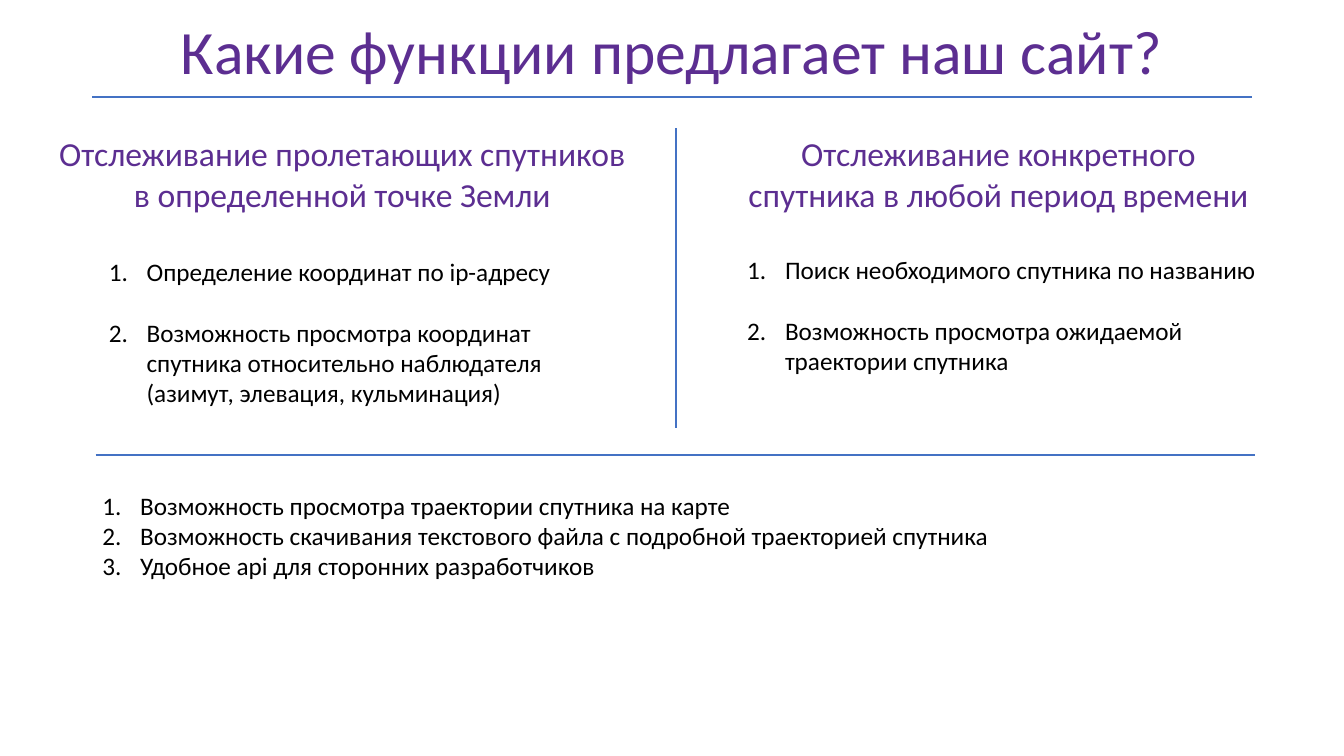
from dataclasses import dataclass

from lxml.etree import SubElement
from pptx import Presentation
from pptx.dml.color import RGBColor
from pptx.enum.shapes import MSO_CONNECTOR
from pptx.enum.text import MSO_ANCHOR, MSO_AUTO_SIZE, PP_ALIGN
from pptx.oxml.ns import qn
from pptx.shapes.base import BaseShape
from pptx.slide import Slide
from pptx.util import Emu, Pt

PURPLE = RGBColor(0x5C, 0x2E, 0x91)
BLUE = RGBColor(0x44, 0x72, 0xC4)
BLACK = RGBColor(0x00, 0x00, 0x00)
FONT = "Calibri"
COMPARISON_LAYOUT = 4
NUMBER_INDENT = 36


@dataclass(frozen=True)
class Box:
    left: int
    top: int
    width: int
    height: int


@dataclass(frozen=True)
class Feature:
    heading: str
    heading_box: Box
    steps: list[str]
    steps_box: Box


@dataclass(frozen=True)
class Divider:
    x1: int
    y1: int
    x2: int
    y2: int


TITLE = "Какие функции предлагает наш сайт?"
TITLE_BOX = Box(88, -18, 1104, 139)

FEATURES = [
    Feature(
        "Отслеживание пролетающих спутников в определенной точке Земли",
        Box(44, 122, 564, 87),
        [
            "Определение координат по ip-адресу",
            "Возможность просмотра координат спутника относительно "
            "наблюдателя (азимут, элевация, кульминация)",
        ],
        Box(94, 239, 485, 156),
    ),
    Feature(
        "Отслеживание конкретного спутника в любой период времени",
        Box(702, 122, 498, 87),
        [
            "Поиск необходимого спутника по названию",
            "Возможность просмотра ожидаемой траектории спутника",
        ],
        Box(702, 237, 511, 126),
    ),
]

COMMON_STEPS = [
    "Возможность просмотра траектории спутника на карте",
    "Возможность скачивания текстового файла с подробной траекторией спутника",
    "Удобное api для сторонних разработчиков",
]
COMMON_BOX = Box(88, 462, 1104, 126)

DIVIDERS = [
    Divider(88, 92, 1192, 92),
    Divider(644, 122, 644, 408),
    Divider(91, 433, 1195, 433),
]


def px(length: int) -> Emu:
    return Emu(length * 9525)


def place(shape: BaseShape, box: Box) -> None:
    shape.left, shape.top = px(box.left), px(box.top)
    shape.width, shape.height = px(box.width), px(box.height)


def write(shape: BaseShape, lines: list[str], size: int, color: RGBColor,
          align: PP_ALIGN, anchor: MSO_ANCHOR = MSO_ANCHOR.TOP,
          line_spacing: float = 1.0, gap: int = 0) -> None:
    """Fill a shape with paragraphs, leaving gap points between them."""
    frame = shape.text_frame
    frame.text = "\n".join(lines)
    frame.word_wrap = True
    frame.auto_size = MSO_AUTO_SIZE.NONE
    frame.vertical_anchor = anchor
    for index, paragraph in enumerate(frame.paragraphs):
        paragraph.alignment = align
        paragraph.line_spacing = line_spacing
        paragraph.space_before = Pt(gap if index else 0)
        paragraph.space_after = Pt(0)
        for run in paragraph.runs:
            run.font.name = FONT
            run.font.size = Pt(size)
            run.font.bold = False
            run.font.color.rgb = color


def write_numbered(shape: BaseShape, steps: list[str], gap: int = 0) -> None:
    write(shape, steps, 18, BLACK, PP_ALIGN.LEFT, gap=gap)
    for paragraph in shape.text_frame.paragraphs:
        properties = paragraph._p.get_or_add_pPr()
        properties.set("marL", str(px(NUMBER_INDENT)))
        properties.set("indent", str(px(-NUMBER_INDENT)))
        SubElement(properties, qn("a:buFont"), typeface="+mj-lt")
        SubElement(properties, qn("a:buAutoNum"), type="arabicPeriod")


def draw_divider(slide: Slide, divider: Divider) -> None:
    line = slide.shapes.add_connector(
        MSO_CONNECTOR.STRAIGHT, px(divider.x1), px(divider.y1),
        px(divider.x2), px(divider.y2))
    line.line.color.rgb = BLUE
    line.line.width = Pt(1.5)
    SubElement(line._element.spPr, qn("a:effectLst"))


def draw_feature(heading: BaseShape, steps: BaseShape, feature: Feature) -> None:
    place(heading, feature.heading_box)
    write(heading, [feature.heading], 24, PURPLE, PP_ALIGN.CENTER)
    place(steps, feature.steps_box)
    write_numbered(steps, feature.steps, gap=22)


def main() -> None:
    presentation = Presentation()
    presentation.slide_width, presentation.slide_height = px(1280), px(720)
    slide = presentation.slides.add_slide(
        presentation.slide_layouts[COMPARISON_LAYOUT])

    title, *bodies = slide.placeholders
    place(title, TITLE_BOX)
    write(title, [TITLE], 44, PURPLE, PP_ALIGN.CENTER, MSO_ANCHOR.MIDDLE, 0.9)

    for heading, steps, feature in zip(bodies[::2], bodies[1::2], FEATURES):
        draw_feature(heading, steps, feature)

    common = slide.shapes.add_textbox(0, 0, 0, 0)
    place(common, COMMON_BOX)
    write_numbered(common, COMMON_STEPS)

    for divider in DIVIDERS:
        draw_divider(slide, divider)

    presentation.save("out.pptx")


if __name__ == "__main__":
    main()
